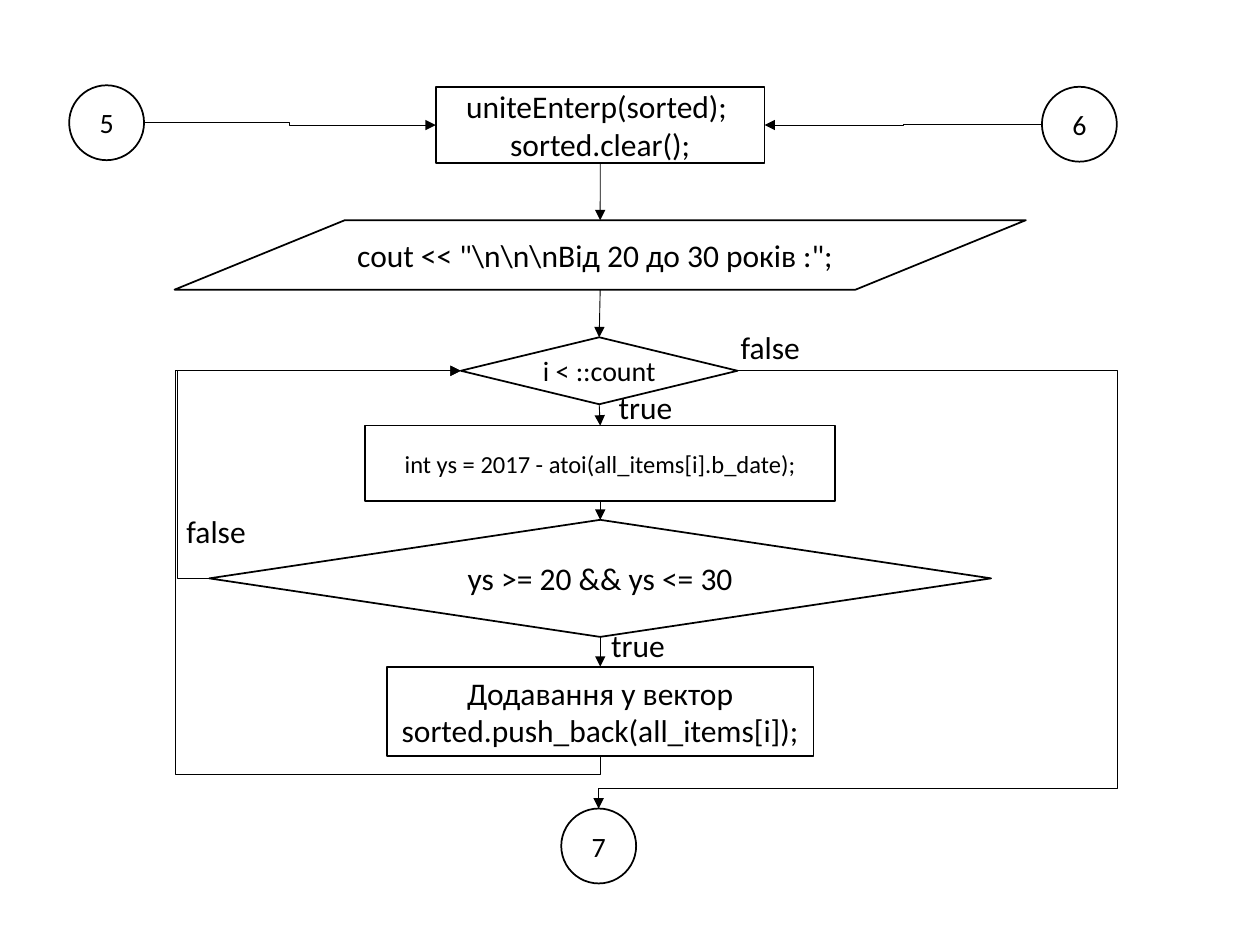
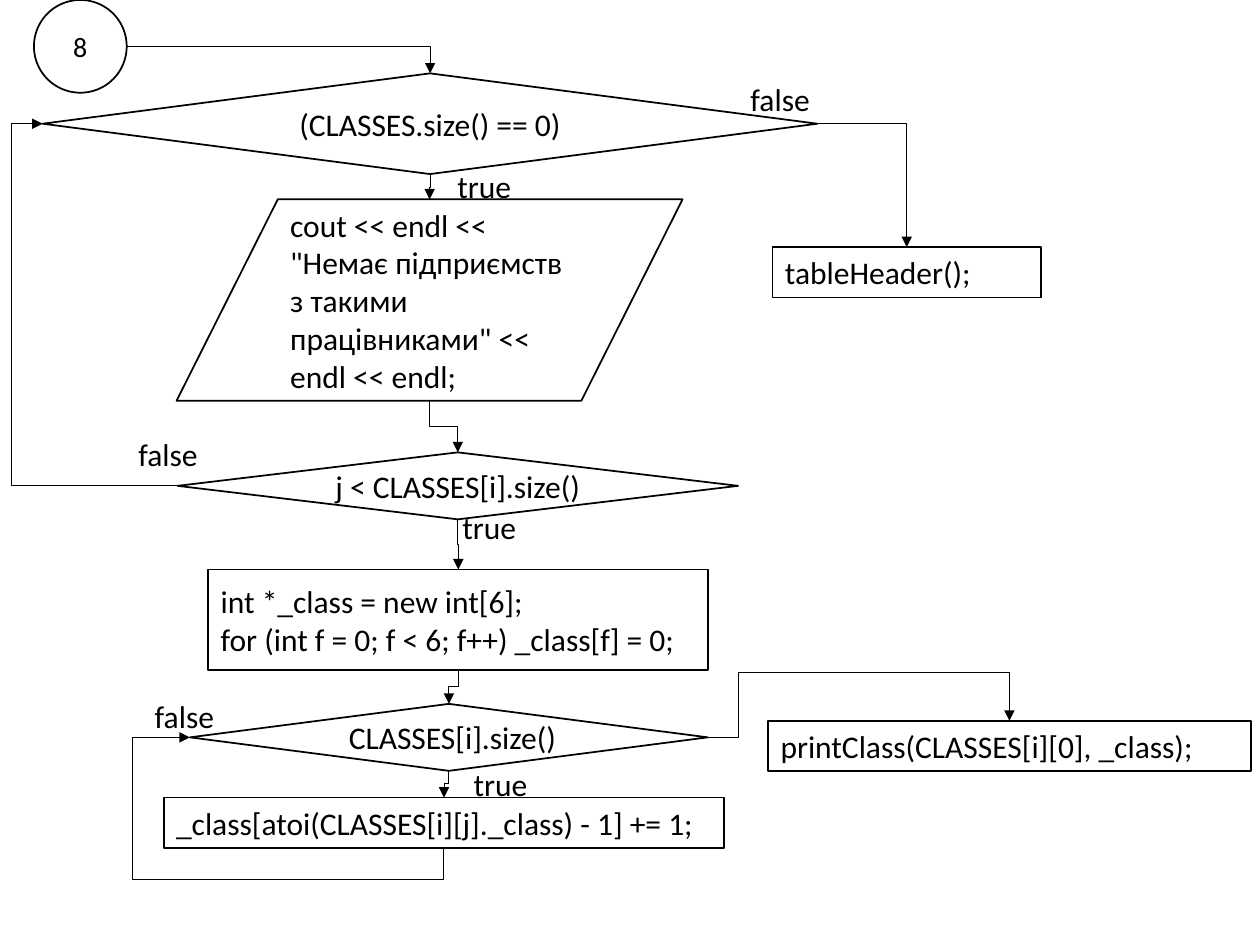
"""Build two flowchart slides of a program that sorts workers by age and class."""

from dataclasses import dataclass

from lxml.etree import SubElement
from pptx import Presentation
from pptx.dml.color import RGBColor
from pptx.enum.shapes import MSO_CONNECTOR, MSO_SHAPE
from pptx.enum.text import MSO_ANCHOR, PP_ALIGN
from pptx.oxml.ns import qn
from pptx.util import Cm, Pt


@dataclass(frozen=True)
class Theme:
    font: str = "Calibri"
    ink: RGBColor = RGBColor(0, 0, 0)
    paper: RGBColor = RGBColor(255, 255, 255)
    body: int = 18
    small: int = 16
    tiny: int = 14
    outline: float = 1
    arrow: float = 0.5


THEME = Theme()
CIRCLE = MSO_SHAPE.OVAL
DECISION = MSO_SHAPE.FLOWCHART_DECISION
OUTPUT = MSO_SHAPE.FLOWCHART_DATA
PROCESS = MSO_SHAPE.FLOWCHART_PROCESS
BOX = MSO_SHAPE.RECTANGLE
TOP, LEFT, BOTTOM, RIGHT = range(4)
CENTER_TEXT, LEFT_TEXT = PP_ALIGN.CENTER, PP_ALIGN.LEFT
LABEL_WIDTHS = {"true": 2.36, "false": 1.85}
LABEL_HEIGHT = 1.02
AXIS = 12.1


def write_text(shape, lines, size, alignment):
    """Fill a shape with one formatted run per paragraph."""
    frame = shape.text_frame
    for index, line in enumerate(lines):
        paragraph = frame.add_paragraph() if index else frame.paragraphs[0]
        paragraph.alignment = alignment
        run = paragraph.add_run()
        run.text = line
        run.font.name = THEME.font
        run.font.size = Pt(size)
        run.font.color.rgb = THEME.ink


def add_arrow(slide, source, source_side, target, target_side, bends=None):
    """Draw a straight arrow, or an elbow one turning at the given centimetres."""
    points = []
    for shape, side in ((source, source_side), (target, target_side)):
        x_share = {LEFT: 0, RIGHT: 1}.get(side, 0.5)
        y_share = {TOP: 0, BOTTOM: 1}.get(side, 0.5)
        points.append((int(shape.left + shape.width * x_share),
                       int(shape.top + shape.height * y_share)))
    start, end = points

    if bends is None:
        arrow = slide.shapes.add_connector(MSO_CONNECTOR.STRAIGHT, *start, *end)
        if source.auto_shape_type != OUTPUT:
            arrow.begin_connect(source, source_side)
        if target.auto_shape_type != OUTPUT:
            arrow.end_connect(target, target_side)
    else:
        vertical = source_side in (TOP, BOTTOM)
        first, second = (1, 0) if vertical else (0, 1)
        along, across = end[first] - start[first], end[second] - start[second]
        width, height = abs(along), abs(across)
        left = (start[0] + end[0] - width) // 2
        top = (start[1] + end[1] - height) // 2
        arrow = slide.shapes.add_connector(
            MSO_CONNECTOR.ELBOW, left, top, left + width, top + height)
        mirrored = across > 0 if vertical else across < 0
        rotation = (90 if vertical else 0) + (180 if mirrored else 0)
        properties = arrow._element.spPr
        transform = properties.find(qn("a:xfrm"))
        transform.set("rot", str(rotation * 60000))
        transform.set("flipH", str(int((along < 0) != mirrored)))
        geometry = properties.find(qn("a:prstGeom"))
        geometry.set("prst", f"bentConnector{len(bends) + 2}")
        guides = geometry.find(qn("a:avLst"))
        if guides is None:
            guides = SubElement(geometry, qn("a:avLst"))
        for number, (bend, axis) in enumerate(zip(bends, (first, second)), 1):
            share = (Cm(bend) - start[axis]) / (end[axis] - start[axis])
            SubElement(guides, qn("a:gd"), name=f"adj{number}",
                       fmla=f"val {round(share * 100000)}")

    arrow.line.color.rgb = THEME.ink
    arrow.line.width = Pt(THEME.arrow)
    SubElement(arrow.line._get_or_add_ln(), qn("a:tailEnd"), type="triangle")
    SubElement(arrow._element.spPr, qn("a:effectLst"))


age_nodes = {
    "five": (CIRCLE, 2.15, 1.72, 1.51, 1.51, THEME.small, CENTER_TEXT, ["5"]),
    "unite": (PROCESS, AXIS, 1.76, 6.63, 1.52, THEME.body, CENTER_TEXT,
              ["uniteEnterp(sorted); ", "sorted.clear();"]),
    "six": (CIRCLE, 21.76, 1.75, 1.51, 1.51, THEME.small, CENTER_TEXT, ["6"]),
    "heading": (OUTPUT, AXIS, 4.44, 17.16, 1.4, THEME.body, LEFT_TEXT,
                [r'cout << "\n\n\nВід 20 до 30 років :";']),
    "count": (DECISION, 12.08, 6.8, 5.58, 1.35, THEME.small, CENTER_TEXT,
              ["i < ::count"]),
    "age": (PROCESS, AXIS, 8.58, 9.48, 1.52, THEME.tiny, CENTER_TEXT,
            ["int ys = 2017 - atoi(all_items[i].b_date);"]),
    "range": (DECISION, AXIS, 10.48, 15.76, 2.36, THEME.body, CENTER_TEXT,
              ["ys >= 20 && ys <= 30"]),
    "push": (BOX, AXIS, 13.44, 8.6, 1.8, THEME.body, CENTER_TEXT,
             ["Додавання у вектор", "sorted.push_back(all_items[i]);"]),
    "seven": (CIRCLE, 12.07, 16.3, 1.51, 1.51, THEME.small, CENTER_TEXT, ["7"]),
}
age_arrows = [
    ("five", RIGHT, "unite", LEFT, (5.84,)),
    ("six", LEFT, "unite", RIGHT, (18.21,)),
    ("unite", BOTTOM, "heading", TOP),
    ("heading", BOTTOM, "count", TOP),
    ("count", BOTTOM, "age", TOP),
    ("age", BOTTOM, "range", TOP),
    ("range", BOTTOM, "push", TOP),
    ("push", BOTTOM, "count", LEFT, (15.62, 3.53)),
    ("range", LEFT, "count", LEFT, (3.58,)),
    ("count", RIGHT, "seven", TOP, (22.53, 15.9)),
]
age_labels = [("true", 12.07, 12.5), ("false", 3.51, 10.19),
              ("true", 12.22, 7.7), ("false", 14.68, 6.48)]

class_nodes = {
    "eight": (CIRCLE, 1.62, 0, 1.87, 1.87, THEME.small, CENTER_TEXT, ["8"]),
    "empty": (DECISION, 8.67, 1.48, 15.62, 2.03, THEME.body, CENTER_TEXT,
              ["(CLASSES.size() == 0)"]),
    "message": (OUTPUT, 8.66, 4.02, 10.2, 4.06, THEME.body, LEFT_TEXT,
                ['cout << endl << "Немає підприємств з такими працівниками"'
                 ' << endl << endl;']),
    "header": (BOX, 18.28, 4.98, 5.41, 1.02, THEME.body, LEFT_TEXT,
               ["tableHeader();"]),
    "loop": (DECISION, 9.23, 9.12, 11.3, 1.35, THEME.body, CENTER_TEXT,
             ["j < CLASSES[i].size()"]),
    "array": (BOX, 9.24, 11.48, 10.08, 2.03, THEME.body, LEFT_TEXT,
              ["int *_class = new int[6];",
               "for (int f = 0; f < 6; f++) _class[f] = 0;"]),
    "size": (DECISION, 9.05, 14.19, 10.44, 1.35, THEME.body, CENTER_TEXT,
             [" CLASSES[i].size()"]),
    "print": (BOX, 20.35, 14.53, 9.73, 1.02, THEME.body, LEFT_TEXT,
              ["printClass(CLASSES[i][0], _class);"]),
    "increment": (BOX, 8.95, 16.08, 11.3, 1.02, THEME.body, LEFT_TEXT,
                  ["_class[atoi(CLASSES[i][j]._class) - 1] += 1;"]),
}
class_arrows = [
    ("eight", RIGHT, "empty", TOP, ()),
    ("empty", RIGHT, "header", TOP, ()),
    ("empty", BOTTOM, "message", TOP, (3.78,)),
    ("message", BOTTOM, "loop", TOP, (8.6,)),
    ("loop", BOTTOM, "array", TOP, (10.98,)),
    ("array", BOTTOM, "size", TOP, (13.84,)),
    ("size", BOTTOM, "increment", TOP, (15.8,)),
    ("increment", BOTTOM, "size", LEFT, (17.73, 2.67)),
    ("size", RIGHT, "print", TOP, (14.88, 13.56)),
    ("loop", LEFT, "empty", LEFT, (0.23,)),
]
class_labels = [("true", 8.97, 3.25), ("false", 14.88, 1.48),
                ("true", 9.3, 15.29), ("false", 2.87, 13.92),
                ("false", 2.54, 8.64), ("true", 9.07, 10.11)]

presentation = Presentation()
presentation.slide_width = Cm(25.4)
presentation.slide_height = Cm(19.05)

for nodes, arrows, labels in ((age_nodes, age_arrows, age_labels),
                              (class_nodes, class_arrows, class_labels)):
    slide = presentation.slides.add_slide(presentation.slide_layouts[6])
    shapes = {}
    for name, (kind, center, top, width, height, size, alignment, lines) in nodes.items():
        shape = slide.shapes.add_shape(
            kind, Cm(center - width / 2), Cm(top), Cm(width), Cm(height))
        shape.shadow.inherit = False
        shape.fill.solid()
        shape.fill.fore_color.rgb = THEME.paper
        shape.line.color.rgb = THEME.ink
        shape.line.width = Pt(THEME.outline)
        shape.text_frame.vertical_anchor = MSO_ANCHOR.MIDDLE
        shape.text_frame.word_wrap = alignment == LEFT_TEXT
        write_text(shape, lines, size, alignment)
        shapes[name] = shape

    for source, source_side, target, target_side, *bends in arrows:
        add_arrow(slide, shapes[source], source_side,
                  shapes[target], target_side, *bends)

    for word, left, top in labels:
        label = slide.shapes.add_textbox(
            Cm(left), Cm(top), Cm(LABEL_WIDTHS[word]), Cm(LABEL_HEIGHT))
        label.text_frame.word_wrap = True
        write_text(label, [word], THEME.body, LEFT_TEXT)

presentation.save("out.pptx")
